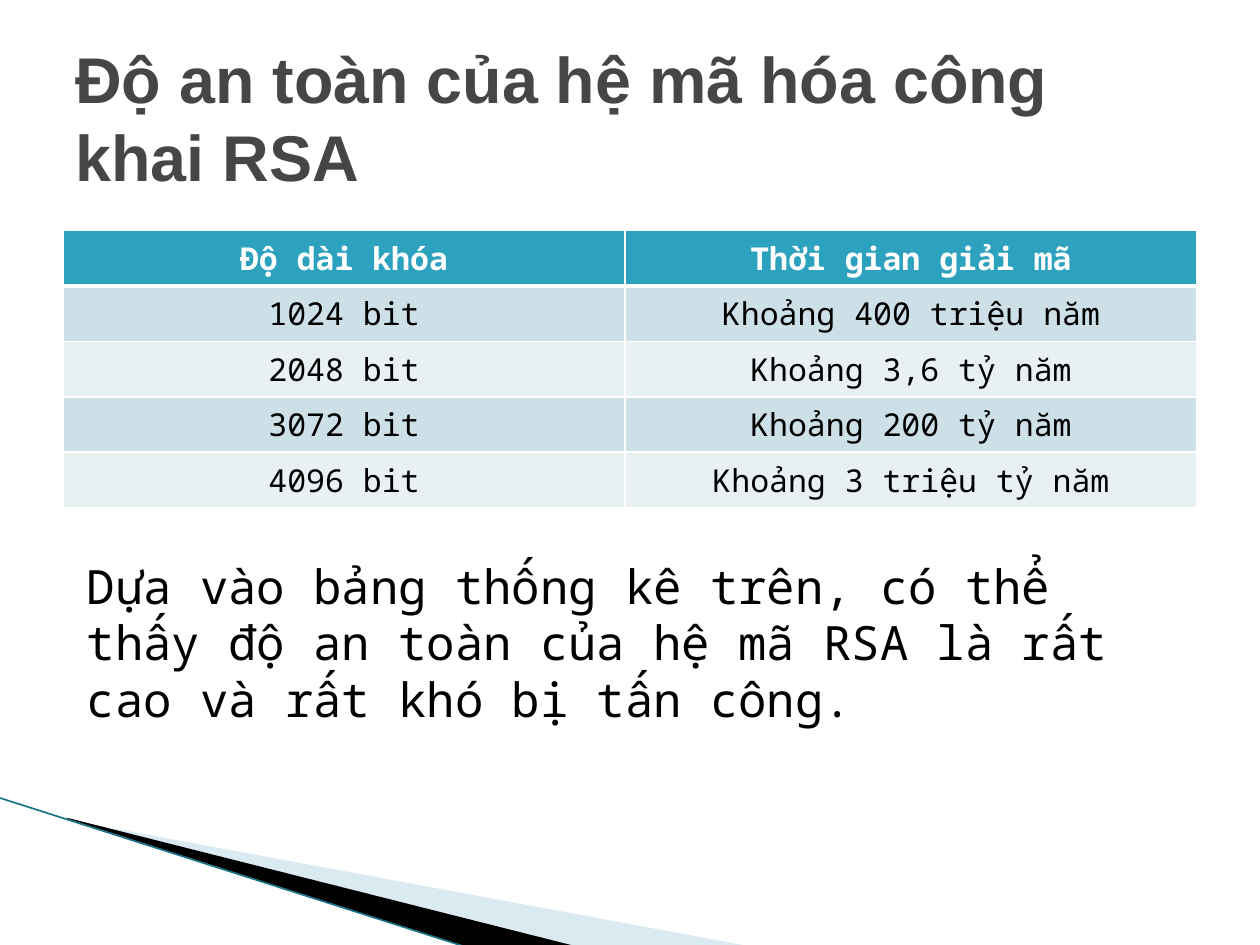
from dataclasses import dataclass

from lxml.etree import SubElement
from pptx import Presentation
from pptx.dml.color import RGBColor
from pptx.enum.shapes import MSO_CONNECTOR
from pptx.enum.text import MSO_ANCHOR as Anchor, PP_ALIGN as Align
from pptx.oxml.ns import qn
from pptx.util import Inches, Pt


@dataclass(frozen=True)
class Theme:
    title_font: str = "Arial"
    body_font: str = "Noto Sans Mono"
    title_size: float = 36.9
    body_size: float = 27
    table_size: float = 18
    title: str = "464646"
    text: str = "000000"
    white: str = "FFFFFF"
    header: str = "2DA2BF"
    bands: tuple = ("CDE0E8", "E8F0F4")
    pale_wedge: str = "A0CBDC"
    dark_wedge: str = "000000"
    edge: str = "1B7387"


THEME = Theme()

ROWS = [
    ("Độ dài khóa", "Thời gian giải mã"),
    ("1024 bit", "Khoảng 400 triệu năm"),
    ("2048 bit", "Khoảng 3,6 tỷ năm"),
    ("3072 bit", "Khoảng 200 tỷ năm"),
    ("4096 bit", "Khoảng 3 triệu tỷ năm"),
]


def rgb(value):
    return RGBColor.from_string(value)


def add_run(p, text, font, size, color, bold=False):
    r = p.add_run()
    r.text = text
    r.font.name = font
    r.font.size = Pt(size)
    r.font.bold = bold
    r.font.color.rgb = rgb(color)


def add_text_frame(s, left, top, width, height, anchor):
    box = s.shapes.add_textbox(
        Inches(left), Inches(top), Inches(width), Inches(height)
    )
    tf = box.text_frame
    tf.word_wrap = True
    tf.vertical_anchor = anchor
    return tf


def add_wedge(s, points, color, alpha=None):
    corners = [(Inches(x), Inches(y)) for x, y in points]
    builder = s.shapes.build_freeform(*corners[0])
    builder.add_line_segments(corners[1:], close=True)
    sp = builder.convert_to_shape()
    sp.shadow.inherit = False
    sp.fill.solid()
    sp.fill.fore_color.rgb = rgb(color)
    sp.line.fill.background()
    if alpha is not None:
        fill = sp.element.spPr.find(qn("a:solidFill"))
        SubElement(fill[0], qn("a:alpha"), val=str(alpha * 1000))


def add_edge(s, start, end, color, width):
    line = s.shapes.add_connector(
        MSO_CONNECTOR.STRAIGHT, *(Inches(v) for v in (*start, *end))
    )
    line.line.color.rgb = rgb(color)
    line.line.width = Pt(width)
    SubElement(line.element.spPr, qn("a:effectLst"))


def set_borders(cell, bottom):
    tc_pr = cell._tc.get_or_add_tcPr()
    sides = {"lnL": 1, "lnR": 1, "lnT": 1, "lnB": bottom}
    for index, (side, width) in enumerate(sides.items()):
        ln = SubElement(tc_pr, qn(f"a:{side}"), w=str(Pt(width)))
        fill = SubElement(ln, qn("a:solidFill"))
        SubElement(fill, qn("a:srgbClr"), val=THEME.white)
        tc_pr.insert(index, ln)


def add_key_table(s, left, top, widths, row_height):
    frame = s.shapes.add_table(
        len(ROWS), len(widths), Inches(left), Inches(top),
        Inches(sum(widths)), Inches(row_height * len(ROWS)),
    )
    table = frame.table
    for column, width in zip(table.columns, widths):
        column.width = Inches(width)
    for i, values in enumerate(ROWS):
        header = i == 0
        fill = THEME.header if header else THEME.bands[(i - 1) % 2]
        color = THEME.white if header else THEME.text
        for j, value in enumerate(values):
            cell = table.cell(i, j)
            cell.fill.solid()
            cell.fill.fore_color.rgb = rgb(fill)
            set_borders(cell, 3 if header else 1)
            p = cell.text_frame.paragraphs[0]
            p.alignment = Align.CENTER
            add_run(p, value, THEME.body_font, THEME.table_size, color, header)


def add_title(s, text):
    tf = add_text_frame(s, 0.5, 0.3, 9, 1.25, Anchor.MIDDLE)
    add_run(tf.paragraphs[0], text, THEME.title_font, THEME.title_size,
            THEME.title, True)


def add_conclusion(s, text):
    tf = add_text_frame(s, 0.47, 4.37, 9, 1.88, Anchor.TOP)
    p = tf.paragraphs[0]
    p.space_before = Pt(4)
    p.line_spacing = 1.0
    p._p.get_or_add_pPr().set("marL", str(Inches(0.12)))
    add_run(p, text, THEME.body_font, THEME.body_size, THEME.text)


def main():
    prs = Presentation()
    prs.slide_width, prs.slide_height = Inches(10), Inches(7.5)
    s = prs.slides.add_slide(prs.slide_layouts[6])
    add_wedge(s, [(0.55, 6.51), (5.95, 7.51), (4.56, 7.51), (0.55, 6.5)],
              THEME.pale_wedge, 40)
    add_wedge(s, [(0.53, 6.49), (4.57, 7.51), (3.72, 7.52), (0.54, 6.5)],
              THEME.dark_wedge)
    add_edge(s, (-0.01, 6.33), (3.71, 7.52), THEME.edge, 0.95)
    add_title(s, "Độ an toàn của hệ mã hóa công khai RSA")
    add_conclusion(
        s,
        "Dựa vào bảng thống kê trên, có thể thấy độ an toàn của hệ mã RSA "
        "là rất cao và rất khó bị tấn công.",
    )
    add_key_table(s, 0.5, 1.83, (4.46, 4.54), 0.44)
    prs.save("out.pptx")


if __name__ == "__main__":
    main()
